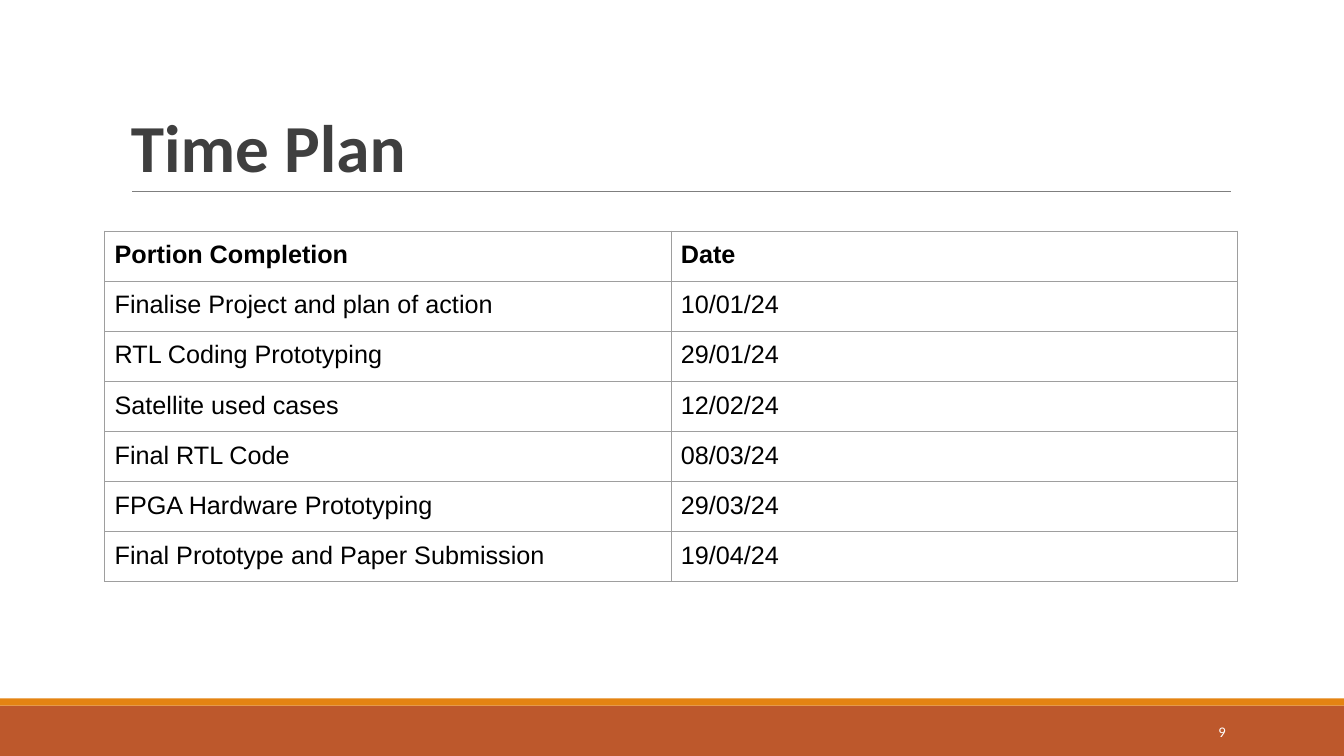
from lxml import etree
from pptx import Presentation
from pptx.dml.color import RGBColor
from pptx.enum.shapes import MSO_CONNECTOR, MSO_SHAPE
from pptx.enum.text import MSO_ANCHOR, PP_ALIGN
from pptx.oxml.ns import qn
from pptx.util import Cm, Pt

RECTANGLE = MSO_SHAPE.RECTANGLE
STRAIGHT = MSO_CONNECTOR.STRAIGHT
BOTTOM, MIDDLE = MSO_ANCHOR.BOTTOM, MSO_ANCHOR.MIDDLE
LEFT, RIGHT = PP_ALIGN.LEFT, PP_ALIGN.RIGHT

WHITE = RGBColor(0xFF, 0xFF, 0xFF)
BLACK = RGBColor(0x00, 0x00, 0x00)
CHARCOAL = RGBColor(0x3F, 0x3F, 0x3F)
RULE_GREY = RGBColor(0x7F, 0x7F, 0x7F)
BORDER_GREY = RGBColor(0x9E, 0x9E, 0x9E)
RUST = RGBColor(0xBD, 0x58, 0x2C)
ORANGE = RGBColor(0xE4, 0x83, 0x12)

SLIDE_WIDTH, SLIDE_HEIGHT = 33.87, 19.05
FOOTER_TOP, STRIPE_HEIGHT = 17.78, 0.18

SCHEDULE = [
    ("Portion Completion", "Date"),
    ("Finalise Project and plan of action", "10/01/24"),
    ("RTL Coding Prototyping", "29/01/24"),
    ("Satellite used cases", "12/02/24"),
    ("Final RTL Code", "08/03/24"),
    ("FPGA Hardware Prototyping", "29/03/24"),
    ("Final Prototype and Paper Submission", "19/04/24"),
]


class SlideBuilder:
    """Draws styled elements on one slide, with lengths in centimetres."""

    heading_font = "Calibri"
    table_font = "Arial"
    line_width = Pt(0.75)
    cell_margin = Cm(0.25)

    def __init__(self, slide):
        self.slide = slide

    def style(self, paragraph, font_name, size, color, bold=False):
        for run in paragraph.runs:
            run.font.name = font_name
            run.font.size = Pt(size)
            run.font.bold = bold
            run.font.color.rgb = color

    def bar(self, top, height, color):
        shape = self.slide.shapes.add_shape(
            RECTANGLE, 0, Cm(top), Cm(SLIDE_WIDTH), Cm(height))
        shape.shadow.inherit = False
        shape.fill.solid()
        shape.fill.fore_color.rgb = color
        shape.line.fill.background()

    def rule(self, left, right, y):
        connector = self.slide.shapes.add_connector(
            STRAIGHT, Cm(left), Cm(y), Cm(right), Cm(y))
        connector.line.color.rgb = RULE_GREY
        connector.line.width = self.line_width
        etree.SubElement(connector._element.spPr, qn("a:effectLst"))

    def text(self, words, left, top, width, height, size, color,
             anchor, align=LEFT, bold=False, line_spacing=1.0):
        box = self.slide.shapes.add_textbox(
            Cm(left), Cm(top), Cm(width), Cm(height))
        text_frame = box.text_frame
        text_frame.word_wrap = True
        text_frame.vertical_anchor = anchor
        text_frame.text = words
        paragraph = text_frame.paragraphs[0]
        paragraph.alignment = align
        paragraph.line_spacing = line_spacing
        self.style(paragraph, self.heading_font, size, color, bold)

    def border(self, cell):
        properties = cell._tc.get_or_add_tcPr()
        for index, side in enumerate(("lnL", "lnR", "lnT", "lnB")):
            line = etree.Element(qn(f"a:{side}"), w=str(int(self.line_width)))
            fill = etree.SubElement(line, qn("a:solidFill"))
            etree.SubElement(fill, qn("a:srgbClr"), val=str(BORDER_GREY))
            properties.insert(index, line)

    def table(self, rows, left, top, column_width, row_height):
        column_count = len(rows[0])
        table = self.slide.shapes.add_table(
            len(rows), column_count, Cm(left), Cm(top),
            Cm(column_width * column_count), Cm(row_height * len(rows))).table
        table.horz_banding = False
        for row_index, row in enumerate(rows):
            for column_index, words in enumerate(row):
                cell = table.cell(row_index, column_index)
                cell.text_frame.text = words
                cell.margin_left = cell.margin_right = self.cell_margin
                cell.margin_top = cell.margin_bottom = self.cell_margin
                cell.fill.background()
                self.border(cell)
                self.style(cell.text_frame.paragraphs[0], self.table_font,
                           18, BLACK, bold=row_index == 0)


def main():
    presentation = Presentation()
    presentation.slide_width = Cm(SLIDE_WIDTH)
    presentation.slide_height = Cm(SLIDE_HEIGHT)
    builder = SlideBuilder(
        presentation.slides.add_slide(presentation.slide_layouts[6]))

    builder.bar(FOOTER_TOP, SLIDE_HEIGHT - FOOTER_TOP, RUST)
    builder.bar(FOOTER_TOP - STRIPE_HEIGHT, STRIPE_HEIGHT, ORANGE)
    builder.rule(3.33, 31.01, 4.83)
    builder.text("Time Plan", 3.05, 0.79, 27.94, 4.04, 48, CHARCOAL,
                 BOTTOM, bold=True, line_spacing=0.85)
    builder.text("9", 27.51, 17.93, 3.63, 1.02, 10.5, WHITE, MIDDLE, RIGHT)
    builder.table(SCHEDULE, 2.64, 5.82, 14.27, 1.22)

    presentation.save("out.pptx")


if __name__ == "__main__":
    main()
